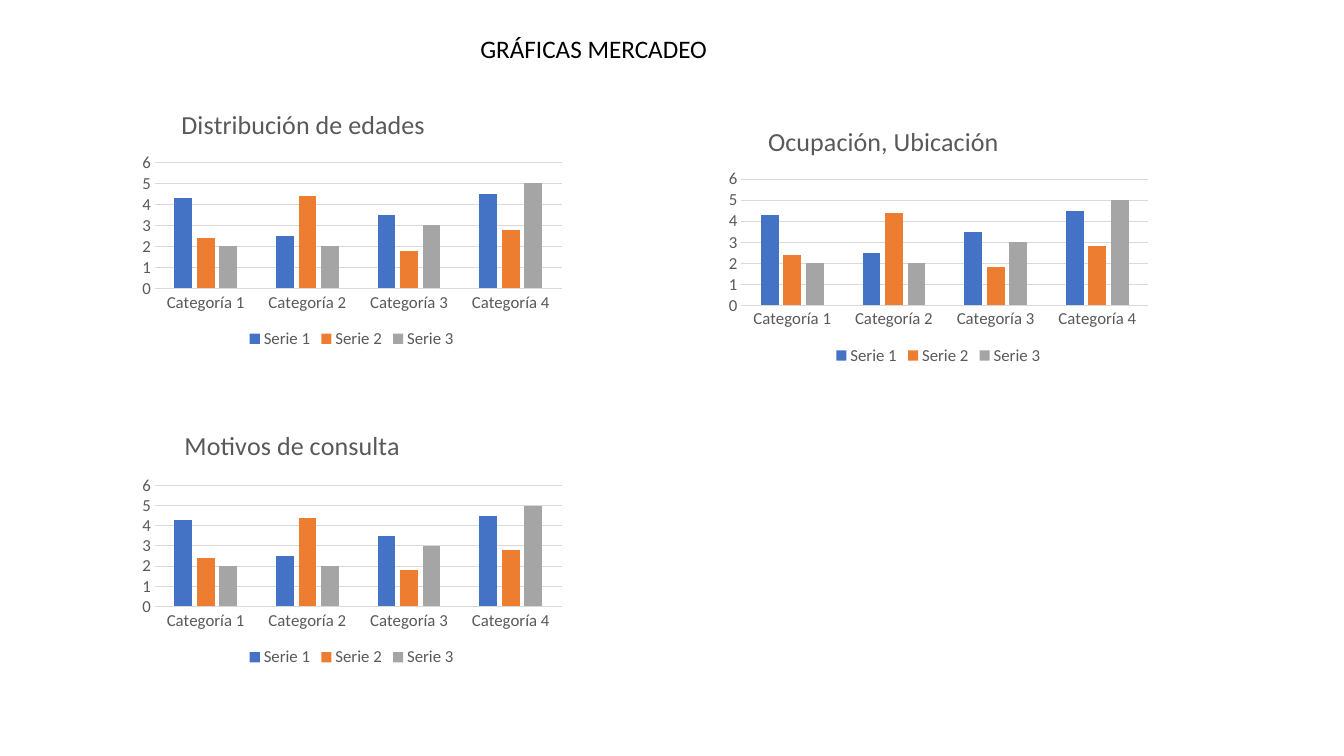
"""Builds the slide of market charts."""
from dataclasses import dataclass

from lxml import etree
from pptx import Presentation
from pptx.chart.data import CategoryChartData
from pptx.dml.color import RGBColor
from pptx.enum.chart import XL_CHART_TYPE, XL_LEGEND_POSITION, XL_TICK_MARK
from pptx.enum.text import MSO_AUTO_SIZE
from pptx.util import Pt

CLUSTERED = XL_CHART_TYPE.COLUMN_CLUSTERED
BOTTOM = XL_LEGEND_POSITION.BOTTOM
NO_TICK = XL_TICK_MARK.NONE
FIT_SHAPE = MSO_AUTO_SIZE.SHAPE_TO_FIT_TEXT
CHART_NS = "http://schemas.openxmlformats.org/drawingml/2006/chart"
FONT = "Calibri"
COLORS = {
    "heading": "000000",
    "label": "595959",
    "grid": "D9D9D9",
    "Serie 1": "4472C4",
    "Serie 2": "ED7D31",
    "Serie 3": "A5A5A5",
}
CATEGORIES = [f"Categoría {number}" for number in range(1, 5)]
SERIES = {
    "Serie 1": (4.3, 2.5, 3.5, 4.5),
    "Serie 2": (2.4, 4.4, 1.8, 2.8),
    "Serie 3": (2, 2, 3, 5),
}
CHART_WIDTH, CHART_HEIGHT = 312.5, 185


@dataclass(frozen=True)
class MarketChart:
    title: str
    left: float
    top: float
    title_x: float = 0.1
    title_y: float = 0.03
    plot_y: float = 0.265
    plot_height: float = 0.487


MARKET_CHARTS = [
    MarketChart("Distribución de edades", 95, 67),
    MarketChart("Motivos de consulta", 95, 294.5, 0.107, 0.04, 0.283, 0.467),
    MarketChart("Ocupación, Ubicación", 514, 79),
]


def style_font(font, size: float, color: str) -> None:
    font.name = FONT
    font.size = Pt(size)
    font.bold = False
    font.color.rgb = RGBColor.from_string(COLORS[color])


def write_text(frame, text: str, *, size: float, color: str) -> None:
    run = frame.paragraphs[0].add_run()
    run.text = text
    style_font(run.font, size, color)


def place(element, index: int, **settings: float | str) -> None:
    for old in element.findall(f"{{{CHART_NS}}}layout"):
        element.remove(old)
    layout = etree.Element(f"{{{CHART_NS}}}layout")
    manual = etree.SubElement(layout, f"{{{CHART_NS}}}manualLayout")
    for tag, value in settings.items():
        etree.SubElement(manual, f"{{{CHART_NS}}}{tag}").set("val", str(value))
    element.insert(index, layout)


def style_line(line) -> None:
    line.color.rgb = RGBColor.from_string(COLORS["grid"])
    line.width = Pt(0.75)


def style_axes(chart) -> None:
    categories, values = chart.category_axis, chart.value_axis
    for axis in (categories, values):
        axis.major_tick_mark = axis.minor_tick_mark = NO_TICK
        style_font(axis.tick_labels.font, 12, "label")
    style_line(categories.format.line)
    values.format.line.fill.background()
    style_line(values.major_gridlines.format.line)
    values.minimum_scale, values.maximum_scale, values.major_unit = 0, 6, 1


def add_market_chart(slide, item: MarketChart) -> None:
    data = CategoryChartData()
    data.categories = CATEGORIES
    for name, values in SERIES.items():
        data.add_series(name, values)
    chart = slide.shapes.add_chart(
        CLUSTERED, Pt(item.left), Pt(item.top), Pt(CHART_WIDTH), Pt(CHART_HEIGHT), data
    ).chart
    style_font(chart.font, 10, "heading")

    chart.has_title = True
    title = chart.chart_title
    write_text(title.text_frame, item.title, size=18.6, color="label")
    title.include_in_layout = False
    place(title._element, 1, xMode="edge", yMode="edge", x=item.title_x, y=item.title_y)

    chart.has_legend = True
    chart.legend.position = BOTTOM
    chart.legend.include_in_layout = False
    style_font(chart.legend.font, 12, "label")

    style_axes(chart)
    columns = chart.plots[0]
    columns.gap_width, columns.overlap = 219, -27
    columns.vary_by_categories = False
    for series in columns.series:
        series.format.fill.solid()
        series.format.fill.fore_color.rgb = RGBColor.from_string(COLORS[series.name])
    place(
        columns._element.getparent(), 0, layoutTarget="inner", xMode="edge", yMode="edge",
        x=0.05, y=item.plot_y, w=0.93, h=item.plot_height,
    )


def main() -> None:
    deck = Presentation()
    deck.slide_width, deck.slide_height = Pt(960), Pt(540)
    slide = deck.slides.add_slide(deck.slide_layouts[6])
    heading = slide.shapes.add_textbox(Pt(336), Pt(20), Pt(178), Pt(29)).text_frame
    heading.word_wrap = False
    heading.auto_size = FIT_SHAPE
    write_text(heading, "GRÁFICAS MERCADEO", size=18, color="heading")
    for item in MARKET_CHARTS:
        add_market_chart(slide, item)
    deck.save("out.pptx")


main()
